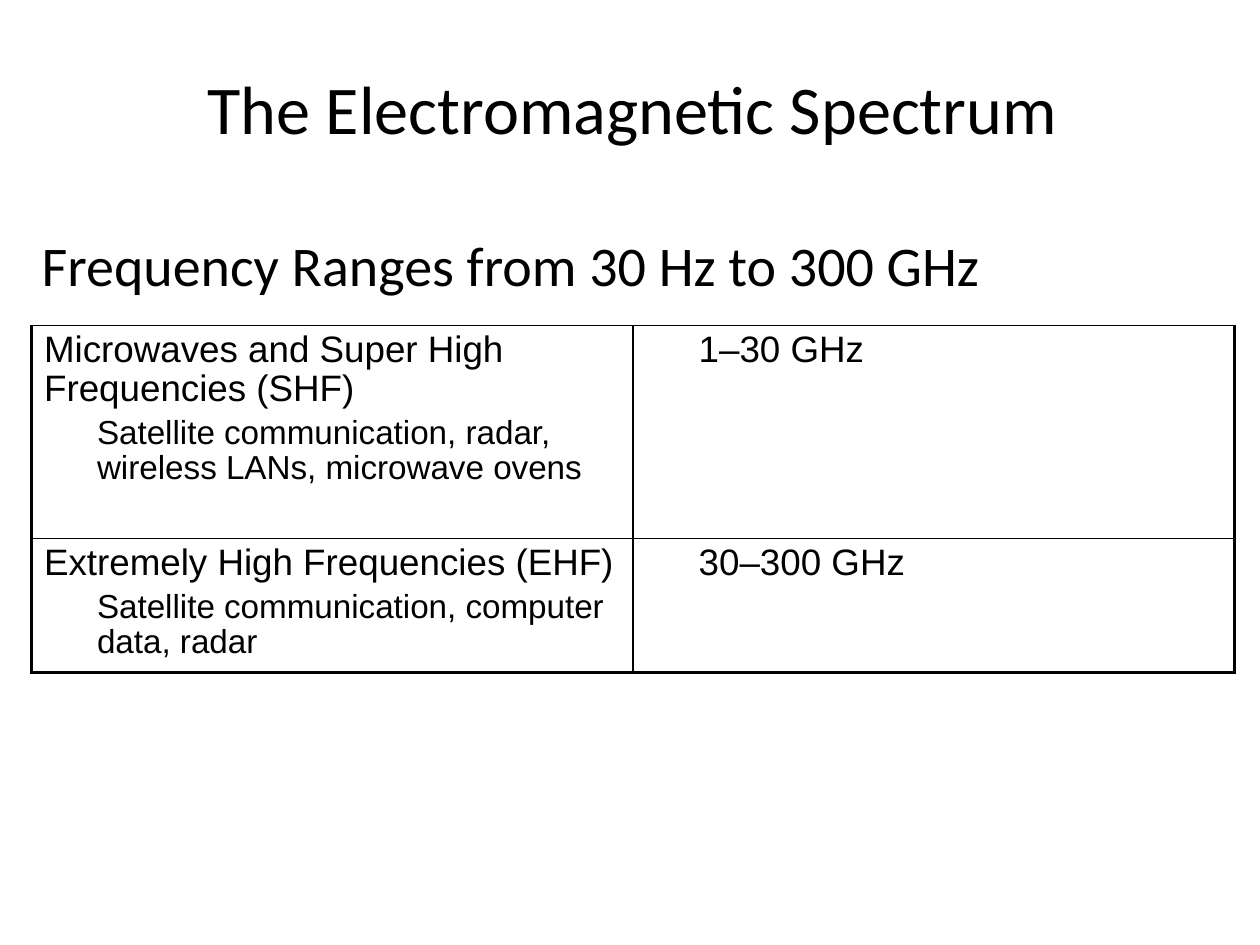
"""Build the electromagnetic spectrum slide with its frequency table."""
from dataclasses import dataclass

from lxml.etree import SubElement
from pptx import Presentation
from pptx.dml.color import RGBColor
from pptx.enum.text import MSO_ANCHOR as Anchor, PP_ALIGN as Align
from pptx.oxml.ns import qn
from pptx.util import Pt


@dataclass(frozen=True)
class Theme:
    ink: str = "000000"
    heading_font: str = "Calibri"
    table_font: str = "Arial"
    title_size: float = 39
    body_size: float = 32
    entry_size: float = 21
    detail_size: float = 19
    detail_indent: float = 30.24
    outer_line: float = 2.25
    inner_line: float = 1


THEME = Theme()
BANDS = [
    ("Microwaves and Super High Frequencies (SHF)",
     "Satellite communication, radar, wireless LANs, microwave ovens", "1–30 GHz"),
    ("Extremely High Frequencies (EHF)",
     "Satellite communication, computer data, radar", "30–300 GHz"),
]
ROW_HEIGHTS = (121.7, 76.5)
COLUMN_WIDTH = 343.8


def style_runs(paragraph, font_name, size):
    for run in paragraph.runs:
        run.font.name = font_name
        run.font.size = Pt(size)
        run.font.color.rgb = RGBColor.from_string(THEME.ink)


def set_indent(paragraph, left, first_line=0):
    properties = paragraph._p.get_or_add_pPr()
    properties.set("marL", str(Pt(left)))
    properties.set("indent", str(Pt(first_line)))
    return properties


def fill_placeholder(shape, box, text, size):
    shape.left, shape.top, shape.width, shape.height = map(Pt, box)
    shape.text_frame.text = text
    paragraph = shape.text_frame.paragraphs[0]
    paragraph.space_before = Pt(0)
    style_runs(paragraph, THEME.heading_font, size)
    return paragraph


def add_border(cell, side, width):
    line = SubElement(cell._tc.get_or_add_tcPr(), qn(f"a:ln{side}"), w=str(Pt(width)))
    fill = SubElement(line, qn("a:solidFill"))
    SubElement(fill, qn("a:srgbClr"), val=THEME.ink)


def fill_cell(cell, entries, heavy_sides):
    """Write (text, size, indent) entries and draw the four borders."""
    cell.text_frame.text = "\n".join(text for text, _, _ in entries)
    for index, (paragraph, entry) in enumerate(zip(cell.text_frame.paragraphs, entries)):
        _, size, indent = entry
        set_indent(paragraph, indent)
        paragraph.line_spacing = 0.95
        paragraph.space_before = Pt(4 if index else 0)
        style_runs(paragraph, THEME.table_font, size)
    for side in "LRTB":
        add_border(cell, side, THEME.outer_line if side in heavy_sides else THEME.inner_line)
    cell.fill.background()


def add_band_table(slide):
    frame = slide.shapes.add_table(len(BANDS), 2, Pt(18), Pt(186),
                                   Pt(2 * COLUMN_WIDTH), Pt(sum(ROW_HEIGHTS)))
    table = frame.table
    table.first_row = table.horz_banding = False
    for column in table.columns:
        column.width = Pt(COLUMN_WIDTH)
    for index, (name, uses, frequency) in enumerate(BANDS):
        table.rows[index].height = Pt(ROW_HEIGHTS[index])
        bottom = "B" if index == len(BANDS) - 1 else ""
        fill_cell(table.cell(index, 0),
                  [(name, THEME.entry_size, 0),
                   (uses, THEME.detail_size, THEME.detail_indent)], "L" + bottom)
        fill_cell(table.cell(index, 1),
                  [(frequency, THEME.entry_size, THEME.detail_indent)], "R" + bottom)


def main():
    presentation = Presentation()
    presentation.slide_width, presentation.slide_height = Pt(720), Pt(540)
    slide = presentation.slides.add_slide(presentation.slide_layouts[1])
    title, body = slide.placeholders
    heading = fill_placeholder(title, (20.9, 15.8, 681, 90.4),
                               "The Electromagnetic Spectrum", THEME.title_size)
    heading.alignment = Align.CENTER
    title.text_frame.vertical_anchor = Anchor.MIDDLE
    subtitle = fill_placeholder(body, (16.6, 128.2, 687.6, 46),
                                "Frequency Ranges from 30 Hz to 300 GHz", THEME.body_size)
    SubElement(set_indent(subtitle, 27, -27), qn("a:buNone"))
    add_band_table(slide)
    presentation.save("out.pptx")


if __name__ == "__main__":
    main()
